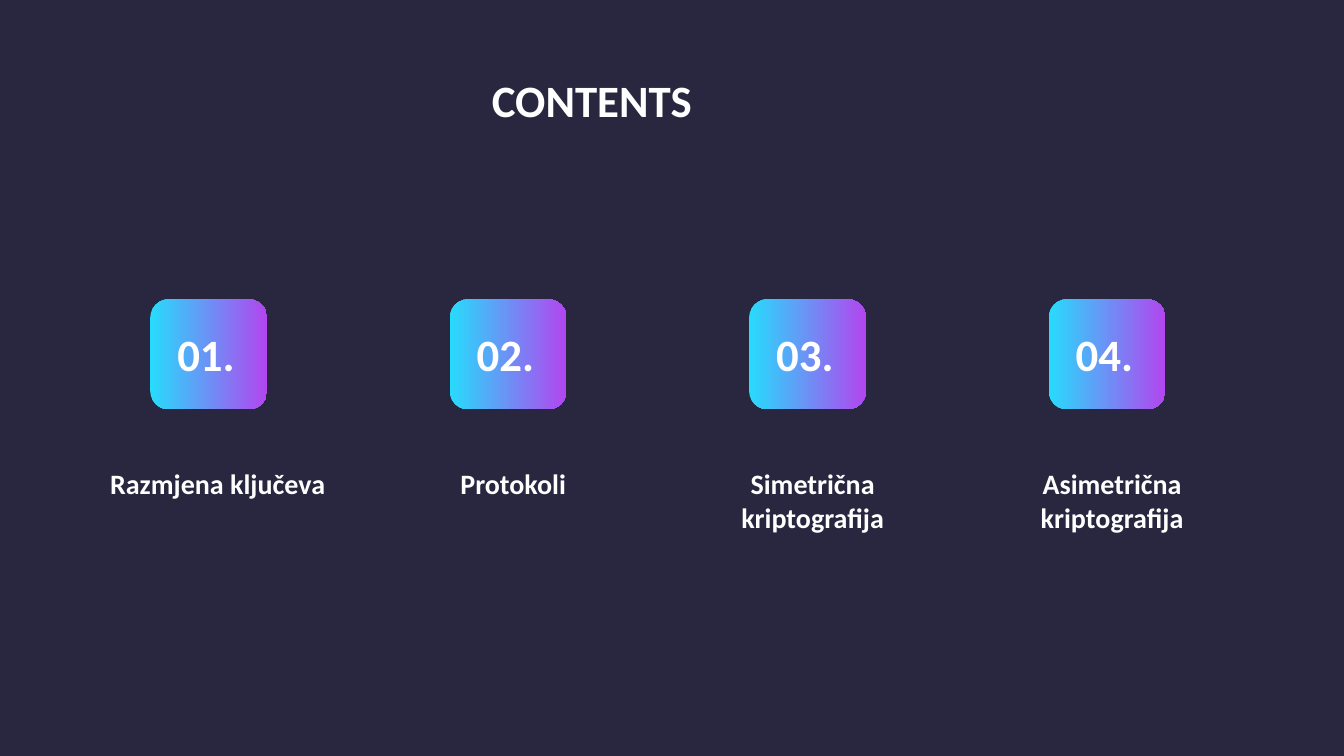
from pptx import Presentation
from pptx.dml.color import RGBColor
from pptx.enum.shapes import MSO_SHAPE as Shape
from pptx.enum.text import MSO_AUTO_SIZE as AutoSize, PP_ALIGN as Align
from pptx.util import Inches, Pt


def rgb(hex_code):
    return RGBColor.from_string(hex_code)


def add_text(shapes, text, left, top, width, height, size=20, align=Align.LEFT):
    frame = shapes.add_textbox(
        Inches(left), Inches(top), Inches(width), Inches(height)).text_frame
    frame.word_wrap = True
    frame.auto_size = AutoSize.SHAPE_TO_FIT_TEXT
    paragraph = frame.paragraphs[0]
    paragraph.alignment = align
    run = paragraph.add_run()
    run.text = text
    run.font.name = "Calibri"
    run.font.size = Pt(size)
    run.font.bold = True
    run.font.color.rgb = rgb("FFFFFF")


deck = Presentation()
deck.slide_width, deck.slide_height = Inches(13.33), Inches(7.5)
slide = deck.slides.add_slide(deck.slide_layouts[6])

backdrop = slide.shapes.add_shape(
    Shape.RECTANGLE, 0, 0, deck.slide_width, deck.slide_height)
backdrop.shadow.inherit = False
backdrop.fill.solid()
backdrop.fill.fore_color.rgb = rgb("28273F")
backdrop.line.fill.background()

add_text(slide.shapes, "CONTENTS", 4.78, 0.67, 3.76, 0.64, size=32, align=Align.JUSTIFY)

# Caption: text, width, height
chapters = [
    ("Razmjena ključeva", 2.66, 0.44),
    ("Protokoli", 2.58, 0.44),
    ("Simetrična kriptografija", 2.58, 0.77),
    ("Asimetrična kriptografija", 2.58, 0.77),
]
first_column, column_step = 0.83, 2.97

for index, (caption, caption_width, caption_height) in enumerate(chapters):
    left = first_column + index * column_step
    chapter = slide.shapes.add_group_shape().shapes

    badge = chapter.add_shape(
        Shape.ROUNDED_RECTANGLE, Inches(left + 0.66), Inches(2.97), Inches(1.16), Inches(1.09))
    badge.shadow.inherit = False
    badge.line.fill.background()
    badge.fill.gradient()
    badge.fill.gradient_angle = 0
    for stop, position, color in zip(badge.fill.gradient_stops, (0, 1), ("27DBFC", "B246EF")):
        stop.position = position
        stop.color.rgb = rgb(color)

    add_text(chapter, caption, left, 4.58, caption_width, caption_height, align=Align.CENTER)
    add_text(chapter, f"{index + 1:02}.", left + 0.83, 3.19, 0.88, 0.64, size=32)

deck.save("out.pptx")
